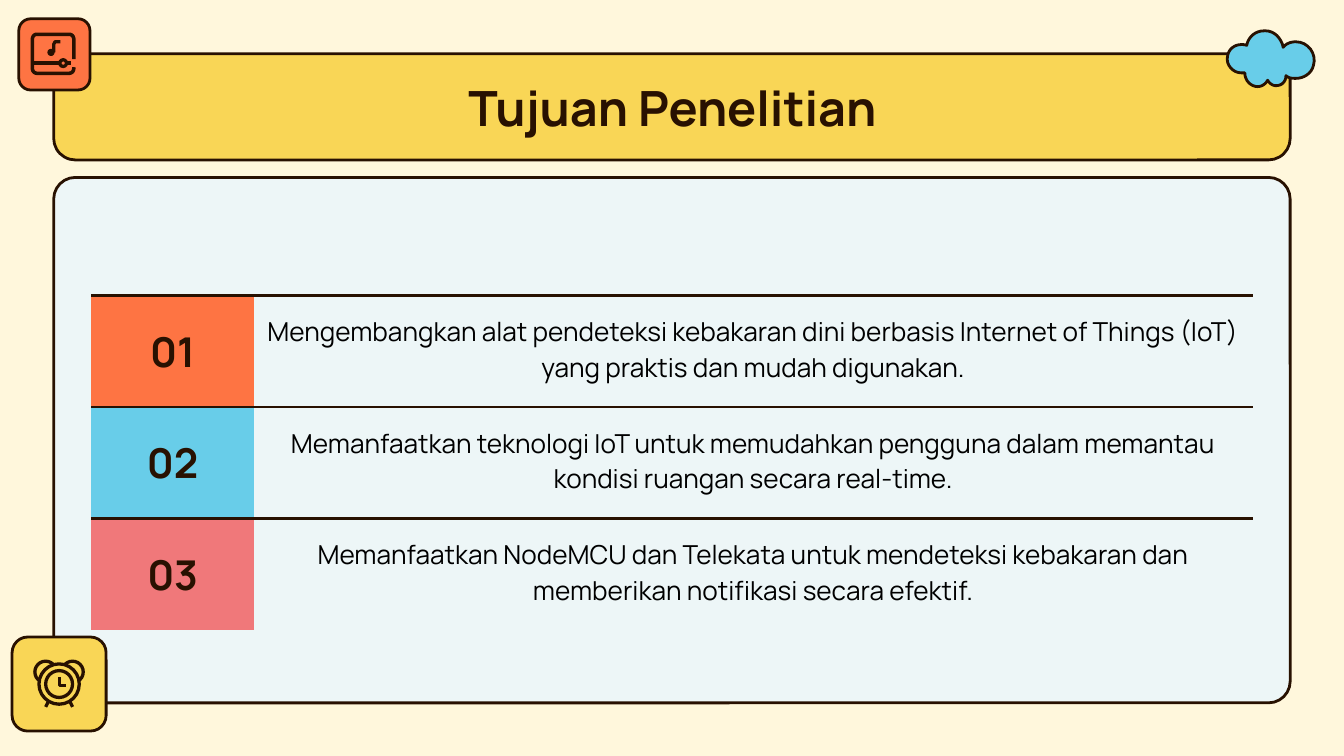
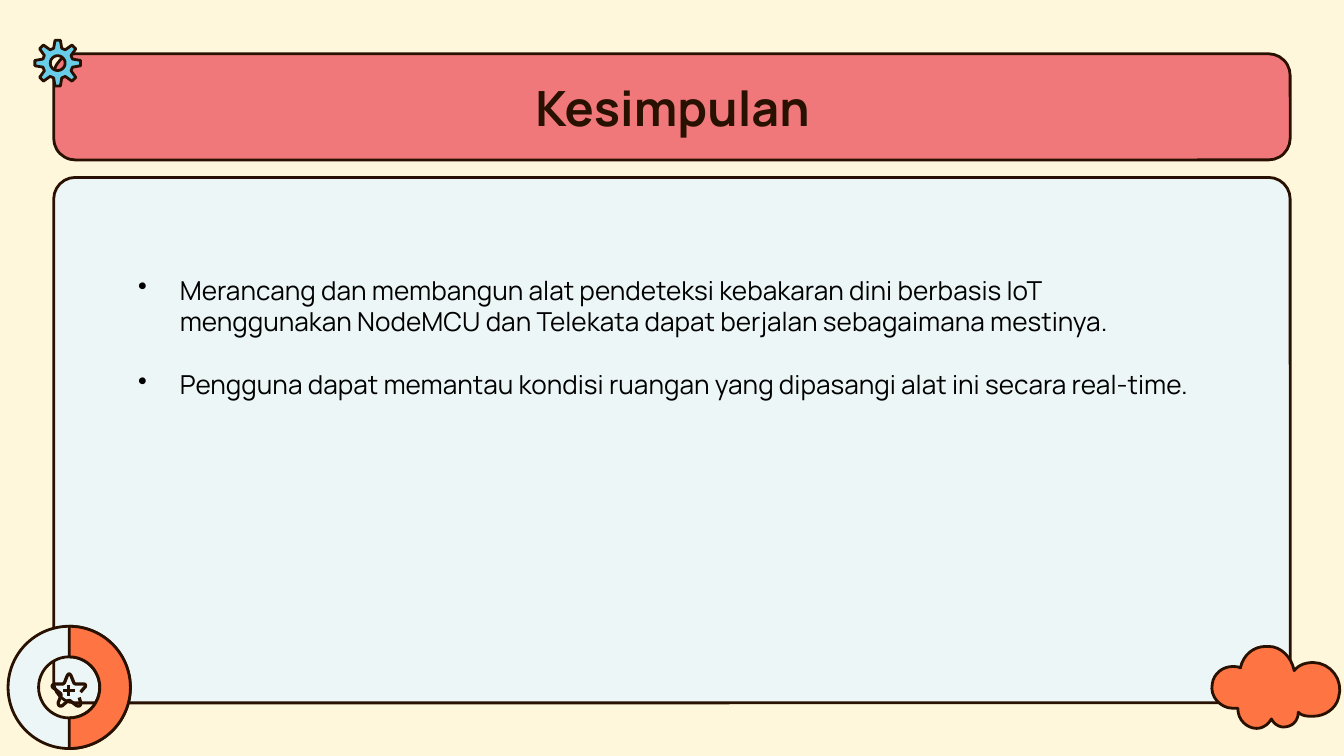
import math

from lxml import etree
from pptx import Presentation
from pptx import util as u
from pptx.dml.color import RGBColor
from pptx.enum import shapes, text
from pptx.oxml.ns import qn

INK, BLACK = "281101", "000000"
CREAM, PANEL = "FFF7DC", "EDF6F7"
YELLOW, ORANGE, BLUE, CORAL = "F9D656", "FE7443", "68CDE9", "F0787A"
FONT = "Manrope"
PLAIN_TABLE = "{2D5ABB26-0587-4C30-8999-92F81FD0307C}"
SHAPE = shapes.MSO_SHAPE

# Outlines in hundredths of an inch: pairs are corners, sixes are cubic curves.
CLOUD = [
    (42, 0), (33, 0, 25, 6, 23, 16), (21, 15, 19, 15, 17, 15),
    (10, 15, 3, 20, 2, 28), (0, 37, 8, 46, 17, 46), (19, 46, 20, 46, 21, 46),
    (21, 55, 28, 61, 35, 61), (39, 61, 43, 59, 46, 54),
    (48, 58, 52, 60, 55, 60), (61, 60, 66, 56, 66, 49),
    (69, 52, 73, 52, 77, 52), (85, 52, 94, 47, 96, 38),
    (100, 25, 90, 12, 77, 12), (71, 12, 66, 14, 63, 18),
    (61, 8, 53, 0, 44, 0),
]
PLAYER_FRAME = [
    (32, 20), (32, 6), (32, 3, 30.5, 1.5, 28.5, 1.5), (4.5, 1.5),
    (2.5, 1.5, 1, 3, 1, 6), (1, 26), (1, 29, 2.5, 30.5, 4.5, 30.5),
    (28.5, 30.5), (30.5, 30.5, 32, 29, 32, 26),
]
STAR = [
    (23, 15), (26.5, 11), (27, 9, 26, 9, 25, 9), (20, 9), (18.5, 9, 18, 8, 18, 8),
    (16, 3), (15, 1, 14, 1, 13, 3), (11, 8), (10, 9, 10, 9, 9, 9), (4, 9),
    (2, 9, 1, 11, 3, 12), (7.5, 15.5), (8.5, 16, 8.5, 17, 8.5, 17.5), (6.5, 22.5),
    (6, 25, 8, 26, 9.5, 25), (13, 22), (14, 21, 15, 21, 16, 22), (20, 25),
    (22, 26, 23.5, 25, 23, 22.5), (22, 19),
]


def rgb(value):
    return RGBColor.from_string(value)


def flatten(outline, steps=8):
    """Turn corners and cubic curves into a list of points."""
    points = [outline[0]]
    for segment in outline[1:]:
        if len(segment) == 2:
            points.append(segment)
            continue
        controls = [points[-1], segment[:2], segment[2:4], segment[4:]]
        for step in range(1, steps + 1):
            t = step / steps
            weights = [(1 - t) ** 3, 3 * t * (1 - t) ** 2, 3 * t * t * (1 - t), t ** 3]
            points.append(tuple(sum(w * c[axis] for w, c in zip(weights, controls))
                                for axis in (0, 1)))
    return points


def polar(x, y, radius, angle, offset=0):
    """Point at a radius, moved sideways by the offset."""
    return (x + radius * math.cos(angle) - offset * math.sin(angle),
            y + radius * math.sin(angle) + offset * math.cos(angle))


class Deck:
    def __init__(self):
        self.presentation = Presentation()
        self.presentation.slide_width = u.Inches(10)
        self.presentation.slide_height = u.Inches(10 * 9 / 16)
        self.slide = None

    def new_slide(self, title, band_colour):
        self.slide = self.presentation.slides.add_slide(self.presentation.slide_layouts[6])
        self.slide.background.fill.solid()
        self.slide.background.fill.fore_color.rgb = rgb(CREAM)
        self.shape(SHAPE.ROUNDED_RECTANGLE, 0.4, 1.32, 9.2, 3.91, PANEL, [0.041])
        self.shape(SHAPE.ROUNDED_RECTANGLE, 0.4, 0.4, 9.2, 0.79, band_colour, [0.204])
        frame = self.text_box(0.79, 0.47, 8.43, 0.65)
        frame.vertical_anchor = text.MSO_ANCHOR.MIDDLE
        self.run(frame.paragraphs[0], title, 26, INK, True, centred=True)

    def paint(self, shape, fill, width=1.5):
        shape.shadow.inherit = False
        if fill:
            shape.fill.solid()
            shape.fill.fore_color.rgb = rgb(fill)
        else:
            shape.fill.background()
        shape.line.color.rgb = rgb(INK)
        shape.line.width = u.Pt(width)

    def shape(self, kind, x, y, width, height, fill, adjustments=(), line=1.5):
        shape = self.slide.shapes.add_shape(
            kind, u.Inches(x), u.Inches(y), u.Inches(width), u.Inches(height))
        for index, value in enumerate(adjustments):
            shape.adjustments[index] = value
        self.paint(shape, fill, line)
        return shape

    def circle(self, x, y, radius, fill, line=1.75):
        self.shape(SHAPE.OVAL, x - radius, y - radius, 2 * radius, 2 * radius, fill, line=line)

    def freeform(self, contours, fill=None, width=1.5):
        """Contours in inches; they are closed when there is a fill."""
        contours = [[(u.Inches(x), u.Inches(y)) for x, y in contour] for contour in contours]
        builder = self.slide.shapes.build_freeform(*contours[0][0], scale=1.0)
        for index, contour in enumerate(contours):
            if index:
                builder.move_to(*contour[0])
            builder.add_line_segments(contour[1:], close=bool(fill))
        self.paint(builder.convert_to_shape(), fill, width)

    def outline(self, outline, x, y, scale=1.0, fill=None, width=1.5):
        points = [(x + px * scale / 100, y + py * scale / 100) for px, py in flatten(outline)]
        self.freeform([points], fill, width)

    def line(self, x1, y1, x2, y2, width=1.75):
        line = self.slide.shapes.add_connector(
            shapes.MSO_CONNECTOR.STRAIGHT, *map(u.Inches, (x1, y1, x2, y2)))
        line.line.color.rgb = rgb(INK)
        line.line.width = u.Pt(width)
        etree.SubElement(line._element.spPr, qn("a:effectLst"))

    def text_box(self, x, y, width, height):
        frame = self.slide.shapes.add_textbox(
            u.Inches(x), u.Inches(y), u.Inches(width), u.Inches(height)).text_frame
        frame.word_wrap = True
        return frame

    def run(self, paragraph, words, size, colour, bold=False, centred=False):
        if centred:
            paragraph.alignment = text.PP_ALIGN.CENTER
        run = paragraph.add_run()
        run.text = words
        run.font.name = FONT
        run.font.size = u.Pt(size)
        run.font.bold = bold
        run.font.color.rgb = rgb(colour)

    def bullets(self, x, y, width, height, items):
        frame = self.text_box(x, y, width, height)
        for index, item in enumerate(items):
            paragraph = frame.add_paragraph() if index else frame.paragraphs[0]
            properties = paragraph._p.get_or_add_pPr()
            properties.set("marL", str(u.Inches(0.31)))
            properties.set("indent", str(-u.Inches(0.31)))
            colour = etree.SubElement(properties, qn("a:buClr"))
            etree.SubElement(colour, qn("a:srgbClr"), val=BLACK)
            etree.SubElement(properties, qn("a:buChar"), char="•")
            if index:
                paragraph.space_before = u.Pt(16.8)
            self.run(paragraph, item, 14, BLACK)

    def border(self, cell, side):
        properties = cell._tc.get_or_add_tcPr()
        line = etree.Element(qn(f"a:{side}"), w=str(u.Pt(1.5)))
        fill = etree.SubElement(line, qn("a:solidFill"))
        etree.SubElement(fill, qn("a:srgbClr"), val=INK)
        properties.insert(0, line)

    def numbered_table(self, x, y, rows):
        """Coloured number cells beside their goals, under an empty heading row."""
        widths, heights = (1.21, 7.43), [0.62] + [0.83] * len(rows)
        table = self.slide.shapes.add_table(
            len(heights), 2, u.Inches(x), u.Inches(y),
            u.Inches(sum(widths)), u.Inches(sum(heights))).table
        table._tbl.tblPr.find(qn("a:tableStyleId")).text = PLAIN_TABLE
        table.first_row = table.horz_banding = False
        for column, width in zip(table.columns, widths):
            column.width = u.Inches(width)
        for row, height in zip(table.rows, heights):
            row.height = u.Inches(height)
        for cell in table.iter_cells():
            cell.fill.background()
            cell.vertical_anchor = text.MSO_ANCHOR.MIDDLE
            cell.margin_top = cell.margin_bottom = u.Inches(0.1)
            cell.margin_left = cell.margin_right = u.Inches(0.09)
        for index, (colour, goal) in enumerate(rows, 1):
            number_cell, goal_cell = table.cell(index, 0), table.cell(index, 1)
            number_cell.fill.solid()
            number_cell.fill.fore_color.rgb = rgb(colour)
            goal_cell.margin_top = u.Inches(0.07)
            self.run(number_cell.text_frame.paragraphs[0], f"{index:02}", 22, INK, True, True)
            self.run(goal_cell.text_frame.paragraphs[0], goal, 14, BLACK, centred=True)
            for column in (0, 1):
                self.border(table.cell(index - 1, column), "lnB")
                self.border(table.cell(index, column), "lnT")

    def alarm_clock(self):
        self.shape(SHAPE.ROUNDED_RECTANGLE, 0.09, 4.74, 0.7, 0.7, YELLOW)
        x, y = 0.44, 5.09
        for side in (-1, 1):
            self.circle(x + side * 0.1, y - 0.09, 0.08, YELLOW)
            self.line(x + side * 0.08, y + 0.13, x + side * 0.1, y + 0.17)
        self.circle(x, y, 0.15, YELLOW)
        self.circle(x, y, 0.1, None)
        self.freeform([[(x, y - 0.05), (x, y + 0.01), (x + 0.05, y + 0.01)]], width=1.75)

    def music_player(self):
        self.shape(SHAPE.ROUNDED_RECTANGLE, 0.14, 0.14, 0.53, 0.53, ORANGE)
        self.outline(PLAYER_FRAME, 0.23, 0.24, width=1.9)
        self.line(0.25, 0.47, 0.44, 0.47)
        self.circle(0.47, 0.47, 0.025, None)
        self.line(0.49, 0.47, 0.53, 0.47)
        self.circle(0.38, 0.39, 0.02, INK, 1)
        self.freeform([[(0.4, 0.39), (0.4, 0.33), (0.41, 0.31), (0.45, 0.31)]], width=1.75)

    def gear(self, x, y):
        teeth = [polar(x, y, radius, tooth * math.pi / 4, offset)
                 for tooth in range(8)
                 for radius, offset in ((0.11, -0.03), (0.17, -0.02), (0.17, 0.02), (0.11, 0.03))]
        hole = [polar(x, y, 0.055, -step * math.pi / 12) for step in range(24)]
        self.freeform([teeth, hole], BLUE)

    def star_ring(self):
        self.shape(SHAPE.DONUT, 0.06, 4.66, 0.91, 0.91, PANEL, [0.25])
        half = self.shape(SHAPE.BLOCK_ARC, 0.06, 4.66, 0.91, 0.91, ORANGE, [108, 0, 0.25])
        half.rotation = 90
        self.outline(STAR, 0.37, 5, width=1.75)
        self.line(0.47, 5.14, 0.56, 5.14)
        self.line(0.51, 5.1, 0.51, 5.18)


def main():
    deck = Deck()

    deck.new_slide("Tujuan Penelitian", YELLOW)
    deck.numbered_table(0.68, 1.58, [
        (ORANGE, "Mengembangkan alat pendeteksi kebakaran dini berbasis Internet of Things "
                 "(IoT) yang praktis dan mudah digunakan."),
        (BLUE, "Memanfaatkan teknologi IoT untuk memudahkan pengguna dalam memantau kondisi "
               "ruangan secara real-time."),
        (CORAL, "Memanfaatkan NodeMCU dan Telekata untuk mendeteksi kebakaran dan memberikan "
                "notifikasi secara efektif."),
    ])
    deck.alarm_clock()
    deck.outline(CLOUD, 9.12, 0.23, 0.68, BLUE)
    deck.music_player()

    deck.new_slide("Kesimpulan", CORAL)
    deck.bullets(0.93, 1.99, 8.14, 1.51, [
        "Merancang dan membangun alat pendeteksi kebakaran dini berbasis IoT menggunakan "
        "NodeMCU dan Telekata dapat berjalan sebagaimana mestinya.",
        "Pengguna dapat memantau kondisi ruangan yang dipasangi alat ini secara real-time.",
    ])
    deck.star_ring()
    deck.outline(CLOUD, 9, 4.81, 1, ORANGE)
    deck.gear(0.43, 0.47)

    deck.presentation.save("out.pptx")


if __name__ == "__main__":
    main()
